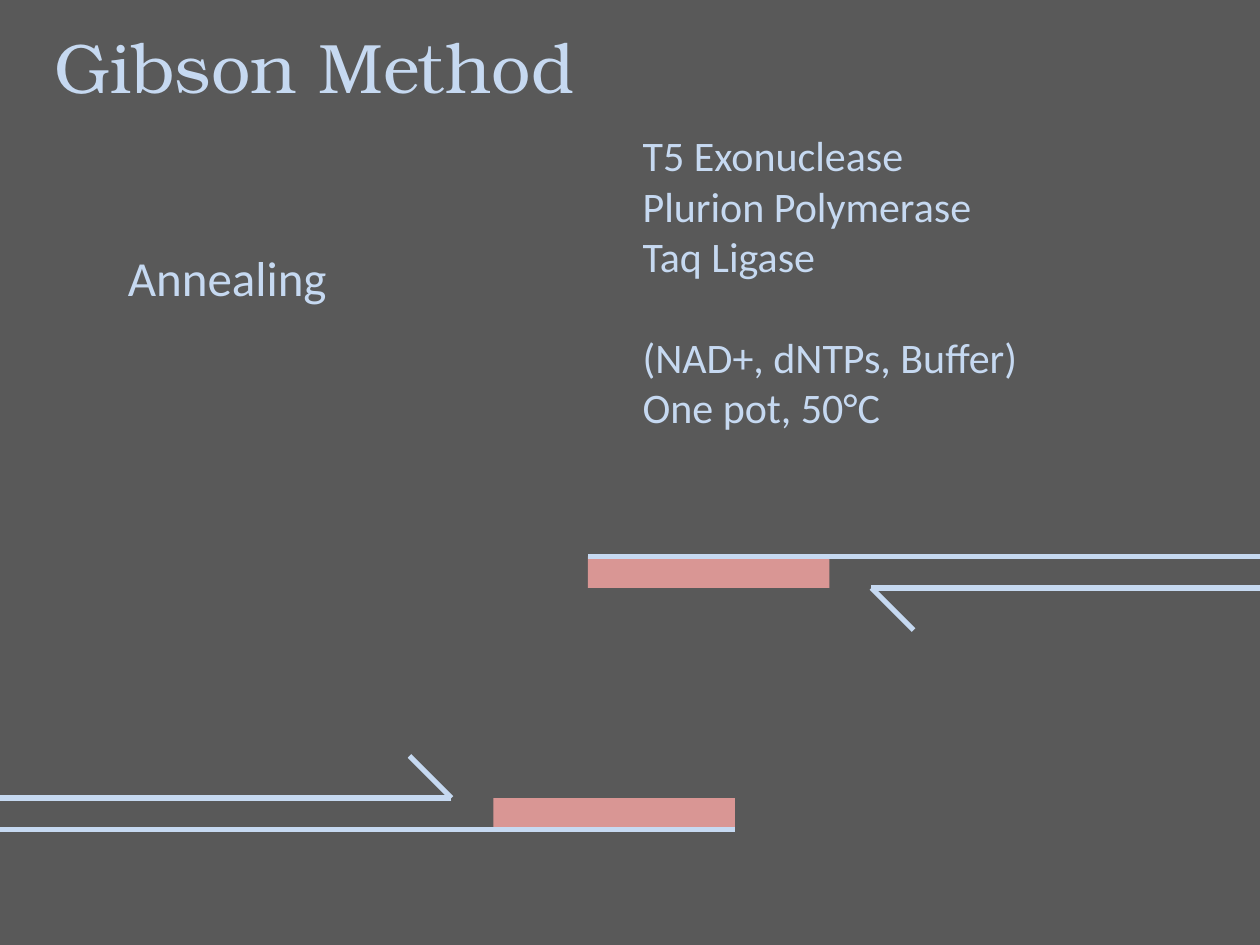
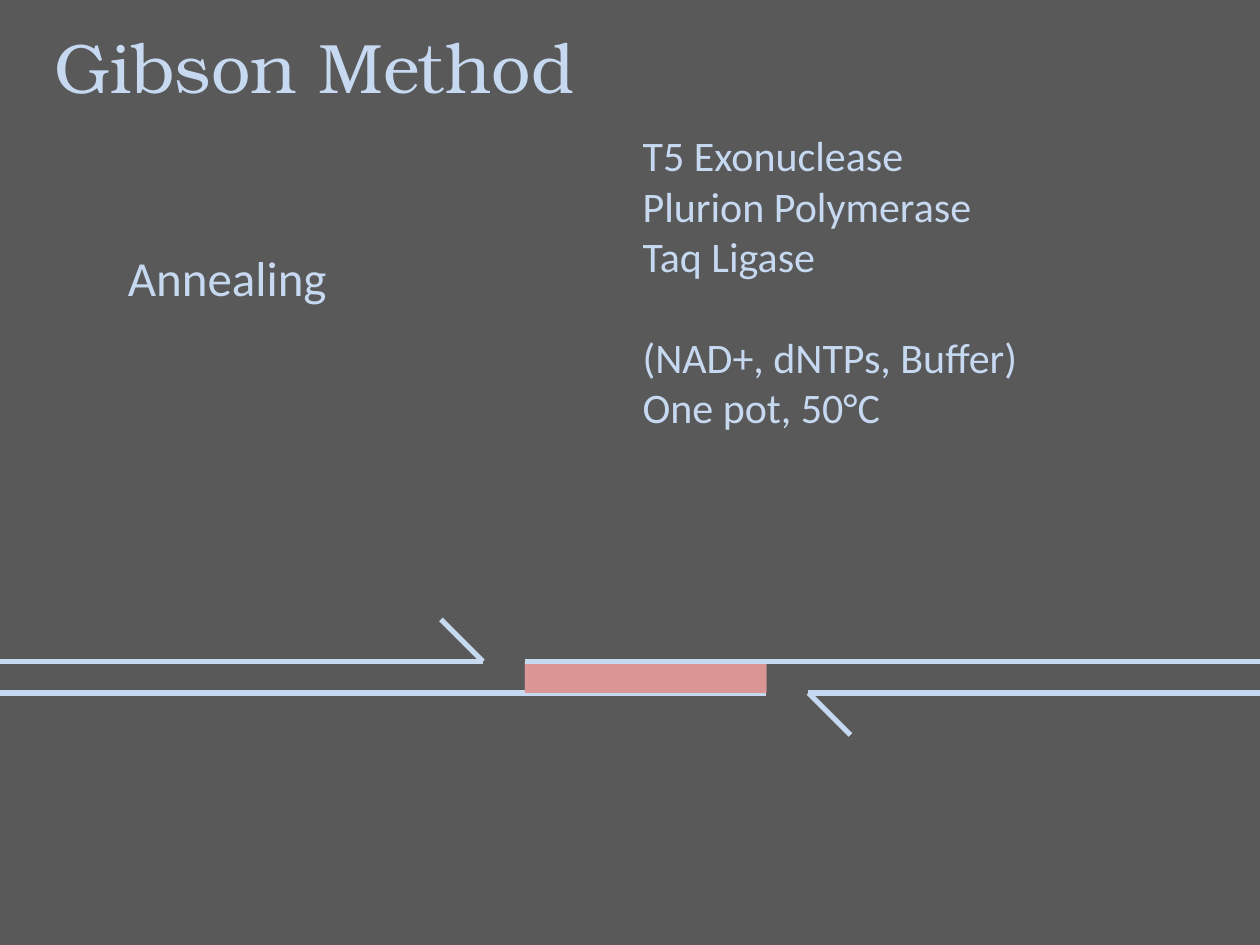
import pptx
import pptx.dml.color
import pptx.enum.shapes
import pptx.enum.text
import pptx.oxml.ns
import pptx.util
from lxml import etree

Pt = pptx.util.Pt
RGBColor = pptx.dml.color.RGBColor

BACKGROUND = RGBColor(0x59, 0x59, 0x59)
PALE_BLUE = RGBColor(0xC6, 0xD9, 0xF1)
OVERLAP_PINK = RGBColor(0xD9, 0x96, 0x94)
TITLE_FONT = "TeX Gyre Bonum"
BODY_FONT = "Calibri"

SLIDE_WIDTH, SLIDE_HEIGHT = 720, 540
OVERLAP_WIDTH, OVERLAP_HEIGHT = 138, 18
STRAND_GAP = 24
BARB = 24

REAGENTS = ["T5 Exonuclease", "Plurion Polymerase", "Taq Ligase"]
CONDITIONS = ["(NAD+, dNTPs, Buffer)", "One pot, 50°C"]
SECTION_GAP = 28.8

LEFT, RIGHT = 1, -1
STAGES = [
    [(LEFT, 351, 465), (RIGHT, 405, 327)],
    [(LEFT, 369, 387), (RIGHT, 369, 387)],
]


def place(box, left, top, width, height):
    box.left, box.top, box.width, box.height = map(Pt, (left, top, width, height))


def write_lines(box, lines, size, font, wrap=True):
    frame = box.text_frame
    frame.text = "\n".join(lines)
    frame.word_wrap = wrap
    frame.auto_size = pptx.enum.text.MSO_AUTO_SIZE.NONE
    frame.vertical_anchor = pptx.enum.text.MSO_ANCHOR.TOP
    for paragraph in frame.paragraphs:
        paragraph.alignment = pptx.enum.text.PP_ALIGN.LEFT
        paragraph.space_before = Pt(0)
        paragraph.font.size = Pt(size)
        paragraph.font.name = font
        paragraph.font.color.rgb = PALE_BLUE


def remove_bullet(paragraph):
    properties = paragraph._p.get_or_add_pPr()
    properties.set("marL", "0")
    properties.set("indent", "0")
    etree.SubElement(properties, pptx.oxml.ns.qn("a:buNone"))


def add_title(slide):
    title = slide.shapes.title
    place(title, 24, 10, 678, 55.5)
    write_lines(title, ["Gibson Method"], 40, TITLE_FONT)


def add_reagents(slide):
    reagents = slide.placeholders[1]
    place(reagents, 360, 70.5, 360, 181.5)
    write_lines(reagents, REAGENTS + CONDITIONS, 24, BODY_FONT)
    paragraphs = reagents.text_frame.paragraphs
    paragraphs[len(REAGENTS)].space_before = Pt(SECTION_GAP)
    for paragraph in paragraphs:
        remove_bullet(paragraph)


def add_step_label(slide, step):
    label = slide.shapes.add_textbox(Pt(66), Pt(138), Pt(129.6), Pt(41))
    write_lines(label, [step], 28, BODY_FONT, wrap=False)


def add_strand(slide, start, end):
    strand = slide.shapes.add_connector(
        pptx.enum.shapes.MSO_CONNECTOR.STRAIGHT, *map(Pt, start + end))
    strand.line.color.rgb = PALE_BLUE
    strand.line.width = Pt(3)
    etree.SubElement(strand._element.spPr, pptx.oxml.ns.qn("a:effectLst"))


def add_overlap(slide, center_x, center_y):
    overlap = slide.shapes.add_shape(
        pptx.enum.shapes.MSO_SHAPE.RECTANGLE,
        Pt(center_x - OVERLAP_WIDTH / 2), Pt(center_y - OVERLAP_HEIGHT / 2),
        Pt(OVERLAP_WIDTH), Pt(OVERLAP_HEIGHT))
    overlap.shadow.inherit = False
    overlap.fill.solid()
    overlap.fill.fore_color.rgb = OVERLAP_PINK
    overlap.line.fill.background()


def add_fragment(slide, side, center_x, center_y):
    half_width, half_height = OVERLAP_WIDTH / 2, OVERLAP_HEIGHT / 2
    slide_edge = 0 if side == LEFT else SLIDE_WIDTH
    long_y = center_y + side * half_height
    short_y = center_y - side * half_height
    long_end = (center_x + side * half_width, long_y)
    tip = (center_x - side * (half_width + STRAND_GAP), short_y)
    barb_end = (tip[0] - side * BARB, short_y - side * BARB)

    add_overlap(slide, center_x, center_y)
    add_strand(slide, (slide_edge, long_y), long_end)
    add_strand(slide, tip, (slide_edge, short_y))
    add_strand(slide, tip, barb_end)


def main():
    deck = pptx.Presentation()
    deck.slide_width, deck.slide_height = Pt(SLIDE_WIDTH), Pt(SLIDE_HEIGHT)
    master_fill = deck.slide_master.background.fill
    master_fill.solid()
    master_fill.fore_color.rgb = BACKGROUND

    for fragments in STAGES:
        slide = deck.slides.add_slide(deck.slide_layouts[1])
        add_title(slide)
        add_reagents(slide)
        add_step_label(slide, "Annealing")
        for side, center_x, center_y in fragments:
            add_fragment(slide, side, center_x, center_y)

    deck.save("out.pptx")


if __name__ == "__main__":
    main()
